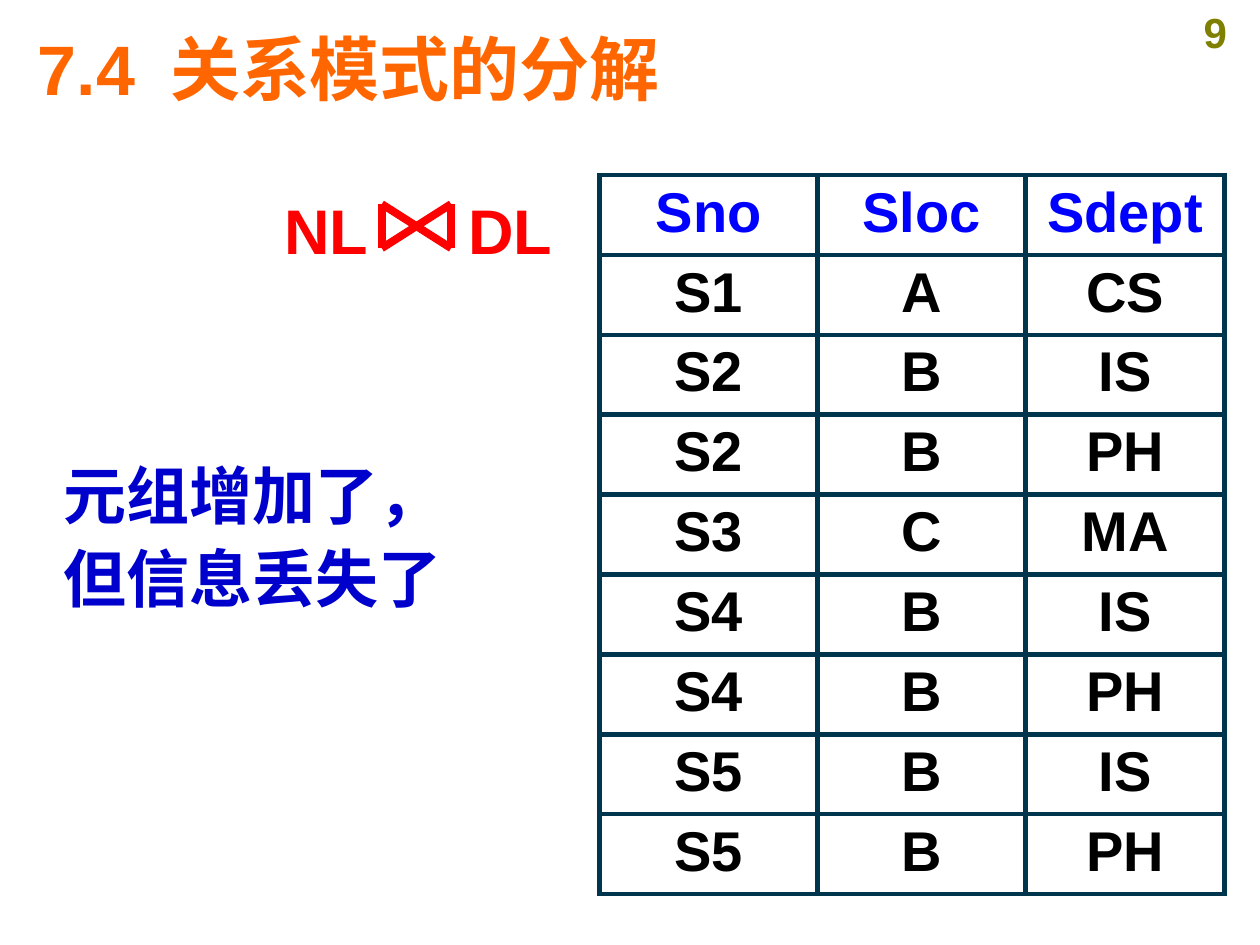
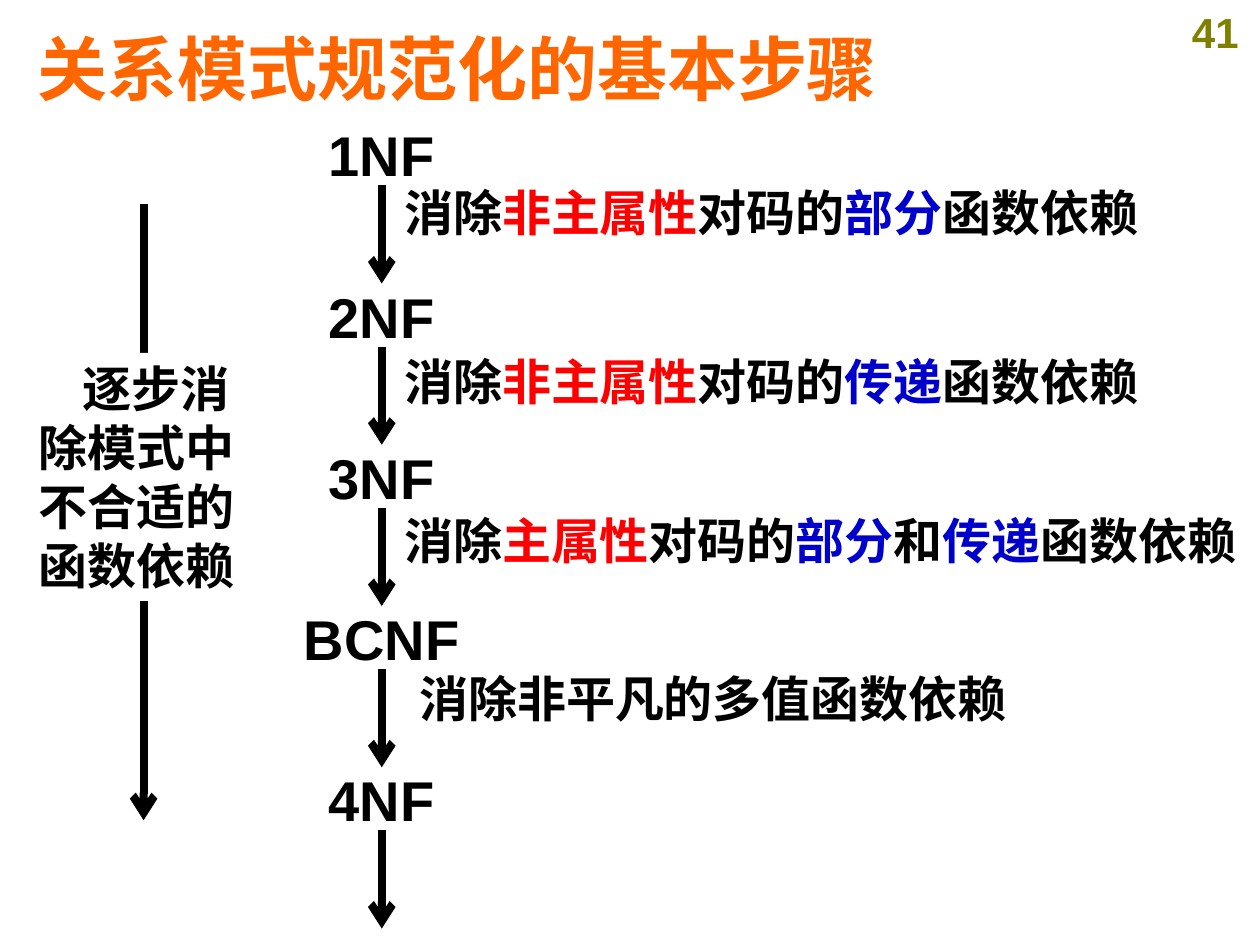
from lxml import etree
from pptx import Presentation
from pptx.dml.color import RGBColor
from pptx.enum.shapes import MSO_CONNECTOR, MSO_SHAPE
from pptx.enum.text import MSO_ANCHOR, MSO_AUTO_SIZE, PP_ALIGN
from pptx.oxml.ns import qn
from pptx.util import Inches, Pt

LEFT, CENTER = PP_ALIGN.LEFT, PP_ALIGN.CENTER
TOP, MIDDLE = MSO_ANCHOR.TOP, MSO_ANCHOR.MIDDLE
NO_AUTOSIZE = MSO_AUTO_SIZE.NONE
STRAIGHT = MSO_CONNECTOR.STRAIGHT
RECTANGLE = MSO_SHAPE.RECTANGLE

FONT = "Arial"
COLORS = {
    "title": "FF6600",
    "number": "808000",
    "text": "000000",
    "red": "FF0000",
    "blue": "0000CC",
    "header": "0000FF",
    "border": "00354E",
    "paper": "FFFFFF",
}
TITLE_ONLY, TITLE_AND_BODY = 5, 1

JOINED_ROWS = [
    ("Sno", "Sloc", "Sdept"),
    ("S1", "A", "CS"),
    ("S2", "B", "IS"),
    ("S2", "B", "PH"),
    ("S3", "C", "MA"),
    ("S4", "B", "IS"),
    ("S4", "B", "PH"),
    ("S5", "B", "IS"),
    ("S5", "B", "PH"),
]
COLUMN_WIDTHS = (1.73, 1.65, 1.58)
ROW_HEIGHTS = [0.6] * 5 + [0.63] + [0.6] * 3

NORMAL_FORMS = [("1NF", 1.26), ("2NF", 1.26), ("3NF", 1.26), ("BCNF", 1.58), ("4NF", 1.26)]
ELIMINATIONS = [
    (3.11, 1.4, 6.65, [("消除", "text"), ("非主属性", "red"), ("对码的", "text"),
                       ("部分", "blue"), ("函数依赖", "text")]),
    (3.11, 2.74, 6.65, [("消除", "text"), ("非主属性", "red"), ("对码的", "text"),
                        ("传递", "blue"), ("函数依赖", "text")]),
    (3.11, 4, 6.89, [("消除", "text"), ("主属性", "red"), ("对码的", "text"), ("部分", "blue"),
                     ("和", "text"), ("传递", "blue"), ("函数依赖", "text")]),
    (3.23, 5.26, 6.34, [("消除非平凡的多值函数依赖", "text")]),
]


def rgb(color):
    return RGBColor.from_string(COLORS[color])


def place(shape, left, top, width, height):
    shape.left, shape.top = Inches(left), Inches(top)
    shape.width, shape.height = Inches(width), Inches(height)


def style(para, size, color, align=LEFT):
    para.alignment = align
    para.font.name = FONT
    para.font.size = Pt(size)
    para.font.bold = True
    para.font.color.rgb = rgb(color)


def add_tab_stop(para, position):
    stops = etree.SubElement(para._p.get_or_add_pPr(), qn("a:tabLst"))
    etree.SubElement(stops, qn("a:tab"), pos=str(Inches(position)), algn="l")


def add_text(shapes, box, spans, size, align=LEFT, tab=None):
    shape = shapes.add_textbox(*map(Inches, box))
    shape.text_frame.word_wrap = True
    para = shape.text_frame.paragraphs[0]
    if tab:
        add_tab_stop(para, tab)
    style(para, size, spans[0][1], align)
    for text, color in spans:
        span = para.add_run()
        span.text = text
        if color != spans[0][1]:
            span.font.color.rgb = rgb(color)


def add_line(shapes, start, end, color, arrow=False):
    line = shapes.add_connector(STRAIGHT, *map(Inches, start + end))
    line.line.color.rgb = rgb(color)
    line.line.width = Pt(4.5)
    if arrow:
        etree.SubElement(line.line._get_or_add_ln(), qn("a:tailEnd"), type="arrow")
    etree.SubElement(line._element.spPr, qn("a:effectLst"))


def add_page(deck, layout, title, number, tab=None):
    page = deck.slides.add_slide(deck.slide_layouts[layout])
    heading = page.shapes.title
    place(heading, 0.2, 0.16, 9.47, 0.76)
    frame = heading.text_frame
    frame.text = title
    frame.auto_size = NO_AUTOSIZE
    frame.vertical_anchor = MIDDLE
    para = frame.paragraphs[0]
    if tab:
        add_tab_stop(para, tab)
    style(para, 40, "title")
    add_text(page.shapes, (9.29, 0, 0.71, 0.5), [(number, "number")], 24, CENTER)
    return page


def add_conclusion(page, box, lines):
    body = page.placeholders[1]
    place(body, *box)
    frame = body.text_frame
    frame.text = "\n".join(lines)
    frame.auto_size = NO_AUTOSIZE
    frame.vertical_anchor = TOP
    for para in frame.paragraphs:
        properties = para._p.get_or_add_pPr()
        properties.set("marL", "0")
        properties.set("indent", "0")
        etree.SubElement(properties, qn("a:buNone"))
        para.line_spacing = 1.1
        para.space_before = Pt(0)
        style(para, 36, "blue")


def add_borders(cell):
    properties = cell._tc.get_or_add_tcPr()
    for position, side in enumerate(("a:lnL", "a:lnR", "a:lnT", "a:lnB")):
        border = etree.Element(qn(side), w=str(Pt(3)))
        fill = etree.SubElement(border, qn("a:solidFill"))
        etree.SubElement(fill, qn("a:srgbClr"), val=COLORS["border"])
        properties.insert(position, border)


def add_joined_table(page, left, top):
    box = (left, top, sum(COLUMN_WIDTHS), sum(ROW_HEIGHTS))
    table = page.shapes.add_table(len(JOINED_ROWS), len(COLUMN_WIDTHS), *map(Inches, box)).table
    for column, width in zip(table.columns, COLUMN_WIDTHS):
        column.width = Inches(width)
    for row, height, values in zip(table.rows, ROW_HEIGHTS, JOINED_ROWS):
        row.height = Inches(height)
        color = "header" if values == JOINED_ROWS[0] else "text"
        for cell, value in zip(row.cells, values):
            cell.text = value
            cell.fill.background()
            add_borders(cell)
            style(cell.text_frame.paragraphs[0], 32, color, CENTER)


def add_join_formula(page, left, top):
    shapes = page.shapes.add_group_shape().shapes
    add_text(shapes, (left, top, 2.44, 0.7), [("NL\tDL", "red")], 36, tab=1.46)
    west, east = left + 0.87, left + 1.42
    north, south = top + 0.15, top + 0.5
    for start, end in (
        ((west, north), (west, south)),
        ((east, north), (east, south)),
        ((west, north), (east, south)),
        ((west, south), (east, north)),
    ):
        add_line(shapes, start, end, "red")


def add_normal_forms(page, center, top, step):
    for index, (name, width) in enumerate(NORMAL_FORMS):
        y = top + index * step
        add_text(page.shapes, (center - width / 2, y, width, 0.63), [(name, "text")], 32, CENTER)
        add_line(page.shapes, (center, y + 0.56), (center, y + 1.34), "text", arrow=True)


def add_overall_goal(page, left, top, width, height):
    axis = left + 0.93
    add_line(page.shapes, (axis, top - 1.18), (axis, top + 3.71), "text", arrow=True)
    goal = page.shapes.add_shape(RECTANGLE, *map(Inches, (left, top, width, height)))
    goal.shadow.inherit = False
    goal.fill.solid()
    goal.fill.fore_color.rgb = rgb("paper")
    goal.line.fill.background()
    goal.text_frame.vertical_anchor = TOP
    goal.text_frame.word_wrap = True
    para = goal.text_frame.paragraphs[0]
    para.text = "逐步消除模式中不合适的函数依赖"
    para._p.get_or_add_pPr().set("indent", str(Inches(0.35)))
    style(para, 28, "text")


def build_decomposition(deck):
    page = add_page(deck, TITLE_AND_BODY, "7.4\t关系模式的分解", "9", tab=1.05)
    add_conclusion(page, (0.4, 3.51, 3.89, 1.81), ["元组增加了，", "但信息丢失了"])
    add_joined_table(page, 4.76, 1.39)
    add_join_formula(page, 2.16, 1.47)


def build_normalization(deck):
    page = add_page(deck, TITLE_ONLY, "关系模式规范化的基本步骤", "41")
    add_normal_forms(page, 3.03, 0.91, 1.28)
    for left, top, width, spans in ELIMINATIONS:
        add_text(page.shapes, (left, top, width, 0.57), spans, 28)
    add_overall_goal(page, 0.21, 2.8, 1.89, 1.97)


def main():
    deck = Presentation()
    deck.slide_width, deck.slide_height = Inches(10), Inches(7.5)
    build_decomposition(deck)
    build_normalization(deck)
    deck.save("out.pptx")


if __name__ == "__main__":
    main()
